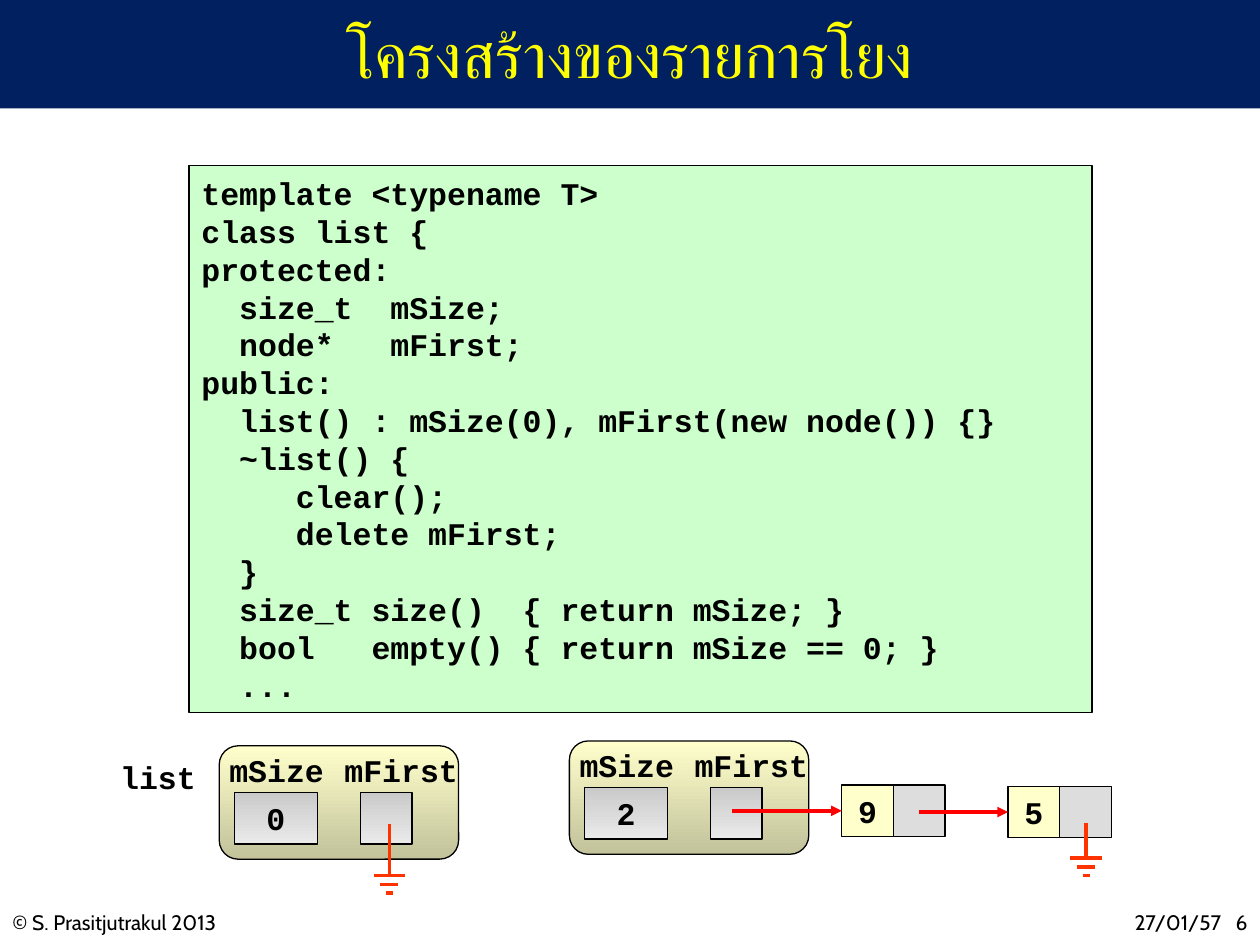
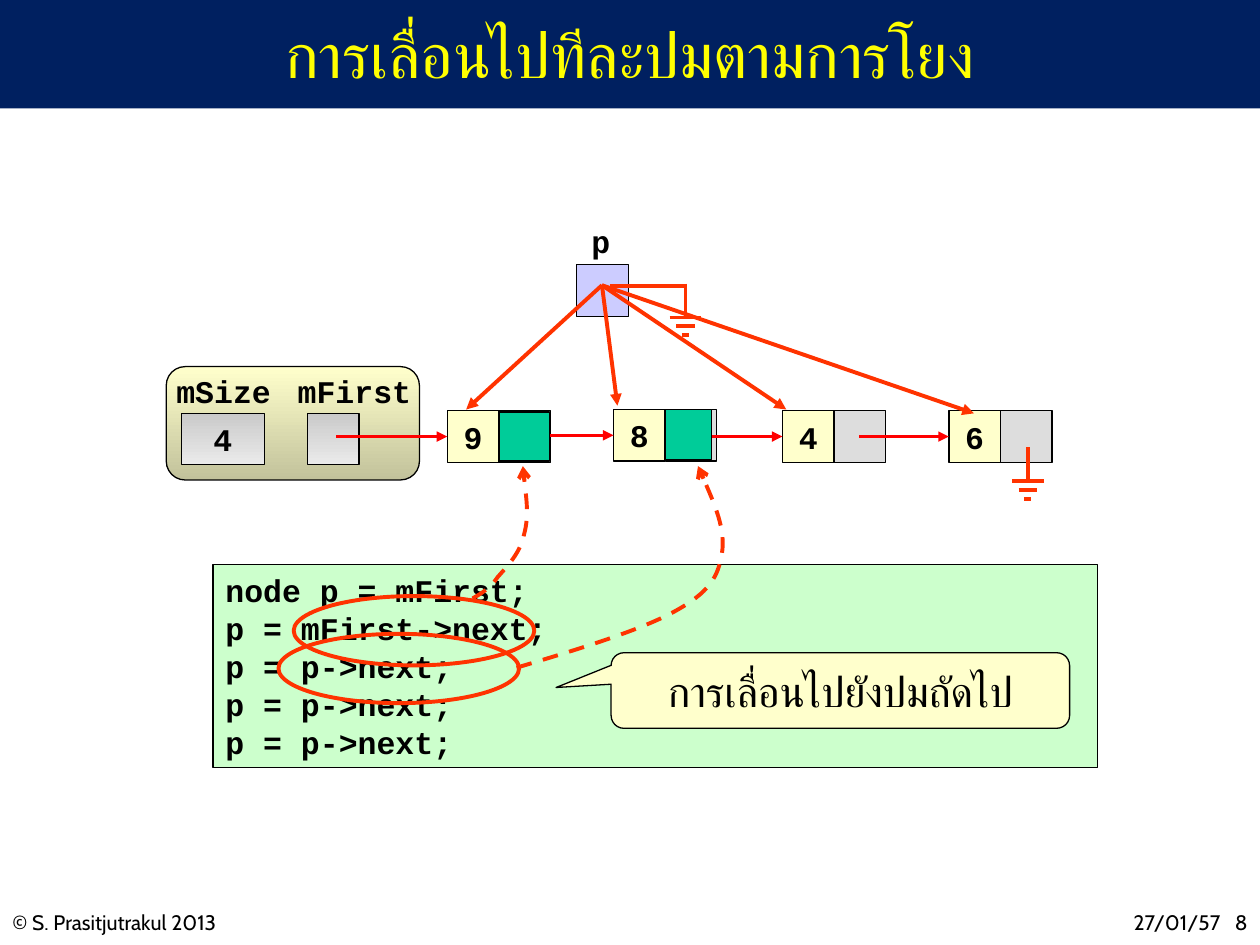
"""Build two lecture slides on the structure and traversal of a linked list."""
from copy import deepcopy
from dataclasses import dataclass

from lxml.etree import SubElement
from pptx import Presentation
from pptx.dml.color import RGBColor
from pptx.enum.dml import MSO_LINE
from pptx.enum.shapes import MSO_CONNECTOR, MSO_SHAPE
from pptx.enum.text import MSO_ANCHOR, PP_ALIGN
from pptx.oxml.ns import qn
from pptx.util import Pt


@dataclass(frozen=True)
class Theme:
    band: str = "002060"
    title: str = "FFFF00"
    ink: str = "000000"
    code: str = "CCFFCC"
    value: str = "FFFFCC"
    pointer: str = "DDDDDD"
    visited: str = "00CC99"
    cursor: str = "CCCCFF"
    head: tuple = ("FFFFCC", "C2C29B")
    field: tuple = ("CACACA", "EAEAEA")
    link: str = "FF0000"
    trace: str = "FF3300"
    thai_font: str = "Noto Sans Mono"
    code_font: str = "Courier New"
    footer_font: str = "Cabin"
    title_size: float = 36
    note_size: float = 24
    code_size: float = 18
    footer_size: float = 12
    thin: float = 0.75
    medium: float = 2
    thick: float = 2.25


theme = Theme()


def draw_box(page, kind, place, fill=None, text="", line=theme.ink, width=theme.thin,
             align=PP_ALIGN.CENTER, spacing=None, **font):
    place = [Pt(length) for length in place]
    if kind is None:
        box = page.shapes.add_textbox(*place)
    else:
        box = page.shapes.add_shape(kind, *place)
        box.shadow.inherit = False
        if fill is None:
            box.fill.background()
        elif isinstance(fill, tuple):
            box.fill.gradient()
            box.fill.gradient_angle = 270
            for stop, color in zip(box.fill.gradient_stops, fill):
                stop.color.rgb = RGBColor.from_string(color)
        else:
            box.fill.solid()
            box.fill.fore_color.rgb = RGBColor.from_string(fill)
        if line is None:
            box.line.fill.background()
        else:
            box.line.color.rgb = RGBColor.from_string(line)
            box.line.width = Pt(width)
    if not text:
        return box
    frame = box.text_frame
    for name, value in {"word_wrap": True, "vertical_anchor": MSO_ANCHOR.MIDDLE}.items():
        setattr(frame, name, value)
    look = {"name": theme.code_font, "size": Pt(theme.code_size), "bold": True} | font
    color = look.pop("color", theme.ink)
    for index, words in enumerate(text.split("\n")):
        para = frame.add_paragraph() if index else frame.paragraphs[0]
        para.alignment = align
        para.line_spacing = spacing
        span = para.add_run()
        span.text = words
        for name, value in look.items():
            setattr(span.font, name, value)
        span.font.color.rgb = RGBColor.from_string(color)
        SubElement(span.font._element, qn("a:cs")).set("typeface", look["name"])
    return box


def draw_line(page, start, end, color=theme.trace, width=theme.medium, arrow=False):
    ends = [Pt(length) for length in (*start, *end)]
    line = page.shapes.add_connector(MSO_CONNECTOR.STRAIGHT, *ends)
    line.line.color.rgb = RGBColor.from_string(color)
    line.line.width = Pt(width)
    if arrow:
        SubElement(line.line._get_or_add_ln(), qn("a:tailEnd")).set("type", "triangle")
    SubElement(line._element.spPr, qn("a:effectLst"))
    return line


class_code = """template <typename T>
class list {
protected:
  size_t  mSize;
  node*   mFirst;
public:
  list() : mSize(0), mFirst(new node()) {}
  ~list() {
     clear();
     delete mFirst;
  }
  size_t size()  { return mSize; }
  bool   empty() { return mSize == 0; }
  ..."""
walk_code = """node p = mFirst;
p = mFirst->next;
p = p->next;
p = p->next;
p = p->next;"""

cell = 29.5
slides = [
    {"title": "โครงสร้างของรายการโยง", "number": "6",
     "code": class_code, "code_place": (108, 94.5, 516, 312.5),
     "heads": [(125.3, 426.2, 136.8, "0", 61.9), (325.4, 423.4, 136.8, "2", 61.9)],
     "nodes": [(481, 448.6, "9", 418.3), (576, 449.3, "5", 524.9)],
     "grounds": [(222.5, 470.9, 500.4), (620.6, 470.2, 490.3)]},
    {"title": "การเลื่อนไปทีละปมตามการโยง", "number": "8",
     "code": walk_code, "code_place": (121.7, 322.5, 505.5, 116),
     "heads": [(95, 209.5, 144.7, "4", 65.5)],
     "nodes": [(255.6, 234.7, "9", 192.2), (350.6, 234, "8", 298.8),
               (447.1, 234.7, "4", 393.1), (542.2, 234.7, "6", 491)],
     "grounds": [(587.3, 255.6, 275), (391.7, 162, 181.4)]},
]

deck = Presentation()
deck.slide_width, deck.slide_height = Pt(720), Pt(540)
footer = {"name": theme.footer_font, "size": Pt(theme.footer_size), "bold": False}
thai = {"name": theme.thai_font, "bold": False}

for content in slides:
    page = deck.slides.add_slide(deck.slide_layouts[6])
    draw_box(page, MSO_SHAPE.RECTANGLE, (0, 0, 720, 62), theme.band, line=None)
    draw_box(page, None, (0, 516.2, 234, 21.6), text="© S. Prasitjutrakul 2013",
             align=PP_ALIGN.LEFT, **footer)
    date = draw_box(page, None, (564, 516.2, 156, 21.6), text="27/01/57",
                    align=PP_ALIGN.RIGHT, **footer)
    para = date.text_frame.paragraphs[0]
    first = para.runs[0]._r
    for words, gap in ((" ", 550), (content["number"], 0)):
        para._p.append(deepcopy(first))
        para.runs[-1].text = words
        para.runs[-1].font._element.set("spc", str(gap))
    draw_box(page, None, (54, 0.7, 612, 60), text=content["title"],
             size=Pt(theme.title_size), color=theme.title, **thai)
    draw_box(page, MSO_SHAPE.RECTANGLE, content["code_place"], theme.code, content["code"],
             align=PP_ALIGN.LEFT, spacing=Pt(21.6))

    for left, top, width, size, label_offset in content["heads"]:
        draw_box(page, MSO_SHAPE.ROUNDED_RECTANGLE, (left, top, width, 64.8), theme.head)
        draw_box(page, MSO_SHAPE.RECTANGLE, (left + 8.6, top + 26.6, 47.5, cell),
                 theme.field, size)
        draw_box(page, MSO_SHAPE.RECTANGLE, (left + 80.6, top + 26.6, cell, cell), theme.field)
        draw_box(page, None, (left - 3.6, top - 0.7, 72.7, 28.8), text="mSize")
        draw_box(page, None, (left + label_offset, top - 0.7, 84, 28.8), text="mFirst")

    for left, top, value, tail in content["nodes"]:
        node = draw_box(page, MSO_SHAPE.RECTANGLE, (left, top, cell, cell), theme.value, value)
        draw_box(page, MSO_SHAPE.RECTANGLE, (left + cell, top, cell, cell), theme.pointer)
        middle = top + cell / 2
        link = draw_line(page, (tail, middle), (left, middle), theme.link, arrow=True)
        link.end_connect(node, 1)

    for x, top, bottom in content["grounds"]:
        draw_line(page, (x, top), (x, bottom))
        for step, half in enumerate((9, 5.2, 2)):
            y = bottom + 5 * step
            draw_line(page, (x - half, y), (x + half, y))

structure_page, walk_page = deck.slides
draw_box(structure_page, None, (55.4, 429.8, 69.8, 28.8), text="list")

draw_box(walk_page, MSO_SHAPE.RECTANGLE, (329.5, 151.2, cell, cell), theme.cursor)
draw_box(walk_page, None, (314.6, 123.1, 57.6, 28.8), text="p")
draw_line(walk_page, (391, 163.4), (348.5, 163.4), width=theme.thick)
for target in ((266.4, 234), (352.8, 231.8), (449.3, 234), (556.6, 236.2)):
    draw_line(walk_page, (344, 163), target, width=theme.thick, arrow=True)

traces = [
    ((285.1, 235.4, 28.8, 28.1), (167.8, 340.6),
     [(270, 342), (275, 339.1), (280.1, 336.2), (284.4, 329.8), (289.4, 324),
      (297.4, 316.1), (299.5, 305.3), (302.4, 294.5), (300.2, 280.8), (298.8, 266.4)]),
    ((380.2, 234, 26.6, 28.8), (159.1, 362.2),
     [(295.2, 381.6), (331.2, 370.8), (366.5, 360), (385.9, 349.2), (405.4, 338.4),
      (410.4, 329.8), (412.6, 316.1), (414.7, 302.4), (406.8, 284.4), (398.9, 266.4)]),
]
for visited, ring, points in traces:
    draw_box(walk_page, MSO_SHAPE.RECTANGLE, visited, theme.visited)
    draw_box(walk_page, MSO_SHAPE.OVAL, (*ring, 137.5, 39.6), line=theme.trace,
             width=theme.thick)
    start, *controls = [(Pt(x), Pt(y)) for x, y in points]
    builder = walk_page.shapes.build_freeform(*start)
    builder.add_line_segments(controls, close=False)
    curve = builder.convert_to_shape()
    curve.shadow.inherit = False
    curve.fill.background()
    curve.line.color.rgb = RGBColor.from_string(theme.trace)
    for name, value in {"width": Pt(theme.thick), "dash_style": MSO_LINE.DASH}.items():
        setattr(curve.line, name, value)
    SubElement(curve.line._get_or_add_ln(), qn("a:tailEnd")).set("type", "arrow")
    outline = curve._element.find(".//" + qn("a:path"))
    segments = outline.findall(qn("a:lnTo"))
    for index in range(0, len(segments), 3):
        bend = SubElement(outline, qn("a:cubicBezTo"))
        for segment in segments[index:index + 3]:
            bend.append(segment[0])
            outline.remove(segment)

callout = draw_box(walk_page, MSO_SHAPE.ROUNDED_RECTANGULAR_CALLOUT, (349.2, 373, 262, 43.2),
                   theme.value, "การเลื่อนไปยังปมถัดไป", size=Pt(theme.note_size), **thai)
for index, value in enumerate((-0.62, -0.04, 0.17)):
    callout.adjustments[index] = value

deck.save("out.pptx")
